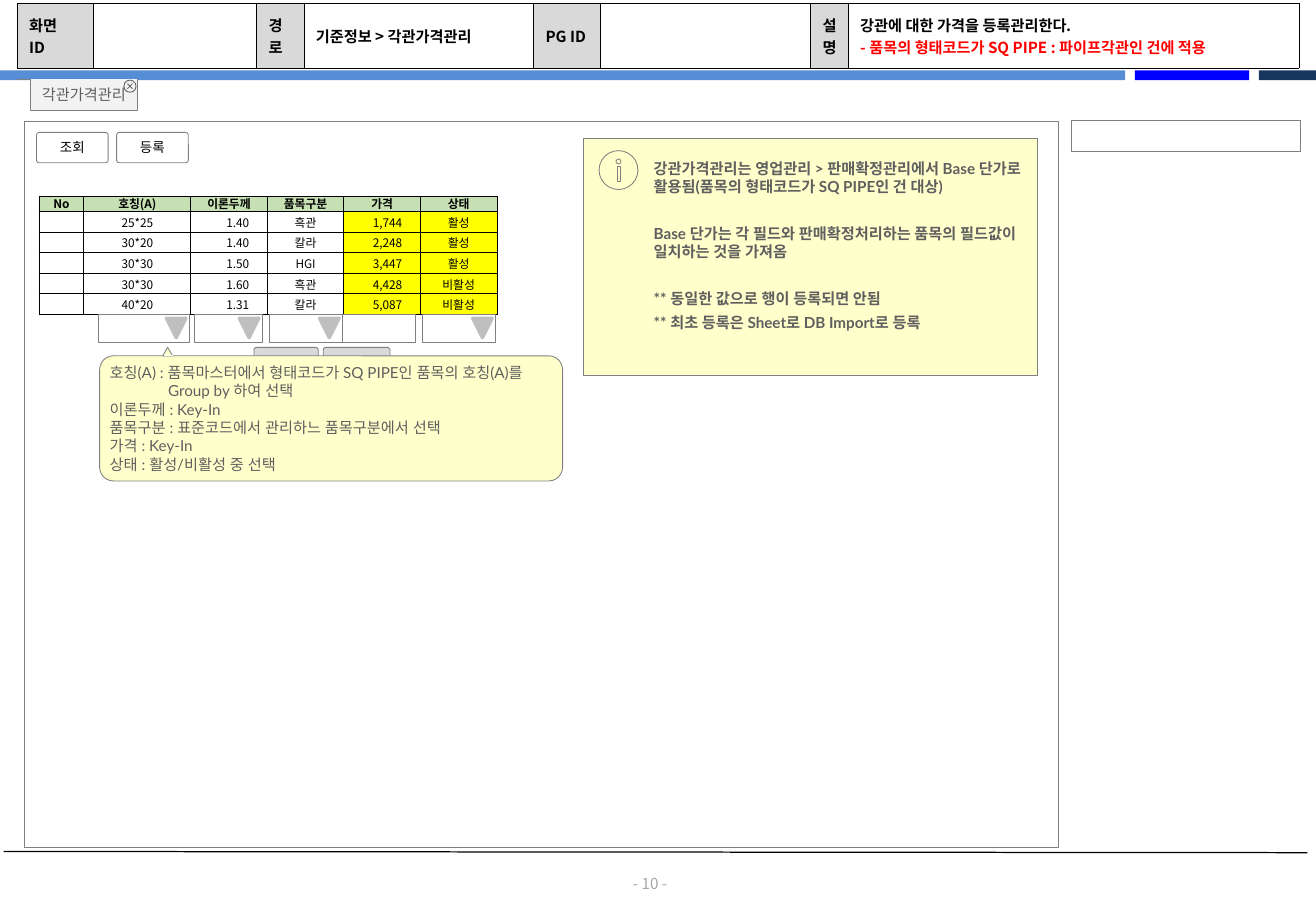
from lxml import etree
from pptx import Presentation
from pptx.dml.color import RGBColor
from pptx.enum import shapes as kinds, text as txt
from pptx.oxml.ns import qn
from pptx.util import Inches, Pt

BLACK = RGBColor(0x00, 0x00, 0x00)
WHITE = RGBColor(0xFF, 0xFF, 0xFF)
RED = RGBColor(0xFF, 0x00, 0x00)
GRAY = RGBColor(0x80, 0x80, 0x80)
DARK_GRAY = RGBColor(0x5F, 0x5F, 0x5F)
MID_GRAY = RGBColor(0xA6, 0xA6, 0xA6)
ARROW_GRAY = RGBColor(0xBF, 0xBF, 0xBF)
LABEL_GRAY = RGBColor(0xD9, 0xD9, 0xD9)
TAB_GRAY = RGBColor(0xF2, 0xF2, 0xF2)
NOTE_YELLOW = RGBColor(0xFF, 0xFF, 0xCC)
YELLOW = RGBColor(0xFF, 0xFF, 0x00)
GREEN = RGBColor(0xC6, 0xE0, 0xB4)
BAR_BLUE = RGBColor(0x55, 0x8E, 0xD5)
BLUE = RGBColor(0x00, 0x00, 0xFF)
NAVY = RGBColor(0x17, 0x37, 0x5E)

KOREAN, LATO = "Noto Sans CJK KR", "Lato"
SHAPE = kinds.MSO_SHAPE
LEFT, CENTER, RIGHT = txt.PP_ALIGN.LEFT, txt.PP_ALIGN.CENTER, txt.PP_ALIGN.RIGHT
MIDDLE, TOP = txt.MSO_ANCHOR.MIDDLE, txt.MSO_ANCHOR.TOP
NOTE_FORMAT = {"name": LATO, "size": Pt(9), "color": DARK_GRAY}


def set_attributes(target, values):
    for name, value in values.items():
        setattr(target, name, value)


def set_margins(target, inches):
    sides = ("margin_left", "margin_top", "margin_right", "margin_bottom")
    set_attributes(target, {side: Inches(v) for side, v in zip(sides, inches)})


def write_paragraph(paragraph, content, font, **layout):
    """Fill one paragraph; an empty one only keeps its text size."""
    set_attributes(paragraph, layout)
    if not content:
        end = etree.SubElement(paragraph._p, qn("a:endParaRPr"))
        end.set("sz", str(int(font["size"].pt * 100)))
        return
    run = paragraph.add_run()
    run.text = content
    set_attributes(run.font, {k: v for k, v in font.items() if k != "color"})
    run.font.color.rgb = font["color"]
    east_asian = etree.SubElement(run._r.get_or_add_rPr(), qn("a:ea"))
    east_asian.set("typeface", font["name"])


def write_frame(frame, lines, font, margins=(0, 0, 0, 0), anchor=MIDDLE,
                wrap=True, align=CENTER, layouts=None):
    set_attributes(frame, {"word_wrap": wrap, "vertical_anchor": anchor,
                           "auto_size": txt.MSO_AUTO_SIZE.NONE})
    set_margins(frame, margins)
    for index, line in enumerate(lines):
        paragraph = frame.paragraphs[0] if index == 0 else frame.add_paragraph()
        layout = (layouts or {}).get(index, {})
        write_paragraph(paragraph, line, font, alignment=align, **layout)


def style_shape(shape, fill=None, line=None, width=0.5):
    shape.shadow.inherit = False
    if fill is None:
        shape.fill.background()
    else:
        shape.fill.solid()
        shape.fill.fore_color.rgb = fill
    if line is None:
        shape.line.fill.background()
    else:
        shape.line.color.rgb = line
        shape.line.width = Pt(width)


def add_box(slide, kind, box, fill=None, line=None, width=0.5, adjustment=None):
    shape = slide.shapes.add_shape(kind, *map(Inches, box))
    style_shape(shape, fill, line, width)
    if adjustment is not None:
        shape.adjustments[0] = adjustment
    return shape


def add_line(slide, start, end, color, width):
    line = slide.shapes.add_connector(
        kinds.MSO_CONNECTOR.STRAIGHT, *map(Inches, start + end))
    line.line.color.rgb = color
    line.line.width = Pt(width)
    etree.SubElement(line._element.spPr, qn("a:effectLst"))


def style_cell(cell, fill, margins, border):
    cell.vertical_anchor = MIDDLE
    set_margins(cell, margins)
    properties = cell._tc.get_or_add_tcPr()
    for side in ("a:lnL", "a:lnR", "a:lnT", "a:lnB"):
        edge = etree.SubElement(properties, qn(side), w=str(Pt(border)))
        paint = etree.SubElement(edge, qn("a:solidFill"))
        etree.SubElement(paint, qn("a:srgbClr"), val=str(BLACK))
    if fill is None:
        cell.fill.background()
    else:
        cell.fill.solid()
        cell.fill.fore_color.rgb = fill


def add_grid(slide, left, top, columns, rows):
    table = slide.shapes.add_table(
        len(rows), len(columns), Inches(left), Inches(top),
        Inches(sum(columns)), Inches(sum(rows))).table
    set_attributes(table, {"first_row": False, "horz_banding": False})
    for column, width in zip(table.columns, columns):
        column.width = Inches(width)
    for row, height in zip(table.rows, rows):
        row.height = Inches(height)
    return table


def add_frame(slide):
    """Colour bars under the header, footer rule and page number."""
    for left, width, color in ((0, 9.26, BAR_BLUE), (9.34, 0.94, BLUE), (10.36, 0.47, NAVY)):
        add_box(slide, SHAPE.RECTANGLE, (left, 0.58, width, 0.08), color)
    add_line(slide, (0.03, 7.01), (10.76, 7.02), BLACK, 0.75)
    number = slide.shapes.add_textbox(*map(Inches, (5.05, 7.2, 0.6, 0.15)))
    write_frame(number.text_frame, ["- 10 -"],
                {"name": KOREAN, "size": Pt(9), "color": MID_GRAY})


def add_header_table(slide, left, top):
    cells = ("화면 ID", "", "경로", "기준정보 > 각관가격관리", "PG ID", "", "설명",
             "강관에 대한 가격을 등록관리한다.")
    table = add_grid(slide, left, top,
                     (0.63, 1.34, 0.39, 1.89, 0.55, 1.73, 0.31, 3.71), (0.53,))
    font = {"name": KOREAN, "size": Pt(9), "bold": True, "color": BLACK}
    for index, content in enumerate(cells):
        cell = table.cell(0, index)
        fill = WHITE if index % 2 else LABEL_GRAY
        right_margin = 0.15 if index == 0 else 0.1
        style_cell(cell, fill, (0.1, 0.05, right_margin, 0.05), 0.25)
        write_paragraph(cell.text_frame.paragraphs[0], content, font)
    write_paragraph(cell.text_frame.add_paragraph(),
                    "- 품목의 형태코드가 SQ PIPE : 파이프각관인 건에 적용", {**font, "color": RED})


def add_tab(slide, left, top, width, height):
    """Page tab holding the title, with its close mark."""
    right, bottom = left + width, top + height
    add_line(slide, (left, top), (left - 0.11, top), GRAY, 0.5)
    outline = slide.shapes.build_freeform(Inches(right), Inches(top))
    outline.add_line_segments([(Inches(x), Inches(y)) for x, y in
                               ((right, bottom), (left, bottom), (left, top))], close=False)
    style_shape(outline.convert_to_shape(), TAB_GRAY, GRAY)
    title = slide.shapes.title
    set_attributes(title, {"left": Inches(left), "top": Inches(top),
                           "width": Inches(width), "height": Inches(height)})
    write_frame(title.text_frame, ["각관가격관리"], NOTE_FORMAT, (0.02, 0.05, 0.02, 0.05))
    title.element.getparent().append(title.element)
    add_box(slide, SHAPE.OVAL, (right - 0.11, top + 0.01, 0.1, 0.1), None, DARK_GRAY)
    add_box(slide, SHAPE.MATH_MULTIPLY, (right - 0.1, top + 0.02, 0.08, 0.08),
            DARK_GRAY, adjustment=0.08)


def add_button(slide, box, fill=None):
    return add_box(slide, SHAPE.ROUNDED_RECTANGLE, box, fill, GRAY, adjustment=0.09)


def add_price_table(slide, left, top):
    rows = (("No", "호칭(A)", "이론두께", "품목구분", "가격", "상태"),
            ("", "25*25", "1.40", "흑관", "1,744", "활성"),
            ("", "30*20", "1.40", "칼라", "2,248", "활성"),
            ("", "30*30", "1.50", "HGI", "3,447", "활성"),
            ("", "30*30", "1.60", "흑관", "4,428", "비활성"),
            ("", "40*20", "1.31", "칼라", "5,087", "비활성"))
    fills = (None, None, WHITE, None, YELLOW, YELLOW)
    table = add_grid(slide, left, top, (0.37, 0.88) + (0.63,) * 4, (0.12,) + (0.17,) * 5)
    for row, values in enumerate(rows):
        for column, value in enumerate(values):
            cell = table.cell(row, column)
            header, number = row == 0, row > 0 and column in (2, 4)
            style_cell(cell, GREEN if header else fills[column],
                       (0.01, 0 if header else 0.01, 0.15 if number else 0.01, 0), 0.5)
            write_paragraph(cell.text_frame.paragraphs[0], value,
                            {"name": KOREAN, "size": Pt(7), "bold": header, "color": BLACK},
                            alignment=RIGHT if number else CENTER,
                            line_spacing=0.8 if header else 1.0)


def add_input_row(slide, top):
    fields = ((0.81, 0.75, True), (1.6, 0.56, True), (2.22, 0.6, True),
              (2.82, 0.6, False), (3.48, 0.6, True))
    for left, width, has_arrow in fields:
        add_box(slide, SHAPE.RECTANGLE, (left, top, width, 0.23), WHITE, GRAY, 0.75)
        if has_arrow:
            arrow = add_box(slide, SHAPE.ISOSCELES_TRIANGLE,
                            (left + width - 0.19, top + 0.03, 0.16, 0.16),
                            ARROW_GRAY, ARROW_GRAY, 2)
            arrow.rotation = 180


def add_info_note(slide, left, top, width, height):
    note = add_box(slide, SHAPE.RECTANGLE, (left, top, width, height), NOTE_YELLOW, GRAY)
    lines = ("강관가격관리는 영업관리 > 판매확정관리에서 Base 단가로 활용됨(품목의 형태코드가 SQ PIPE인 건 대상)",
             "Base 단가는 각 필드와 판매확정처리하는 품목의 필드값이 일치하는 것을 가져옴",
             "** 동일한 값으로 행이 등록되면 안됨",
             "** 최초 등록은 Sheet로 DB Import로 등록")
    layouts = {index: {"space_after": Pt(3), "space_before": Pt(14 if index in (1, 2) else 0)}
               for index in range(len(lines))}
    write_frame(note.text_frame, lines, {**NOTE_FORMAT, "bold": True},
                (0.58, 0.05, 0.1, 0.24), align=LEFT, layouts=layouts)
    for kind, x, y, w, h in ((SHAPE.OVAL, 0.13, 0.1, 0.32, 0.32),
                             (SHAPE.OVAL, 0.27, 0.17, 0.04, 0.04),
                             (SHAPE.RECTANGLE, 0.28, 0.23, 0.03, 0.12)):
        add_box(slide, kind, (left + x, top + y, w, h), NOTE_YELLOW, GRAY)


def add_field_callout(slide, left, top, width, height):
    callout = add_box(slide, SHAPE.ROUNDED_RECTANGLE, (left, top, width, height),
                      NOTE_YELLOW, GRAY, adjustment=0.11)
    lines = ("호칭(A) : 품목마스터에서 형태코드가 SQ PIPE인 품목의 호칭(A)를", "Group by 하여 선택",
             "이론두께 : Key-In", "품목구분 : 표준코드에서 관리하느 품목구분에서 선택",
             "가격 : Key-In", "상태 : 활성/비활성 중 선택")
    write_frame(callout.text_frame, lines, NOTE_FORMAT, (0.05, 0.03, 0.05, 0.03),
                TOP, wrap=False, align=LEFT)
    indented = callout.text_frame.paragraphs[1]._p.get_or_add_pPr()
    indented.set("marL", str(Inches(0.48)))
    add_box(slide, SHAPE.ISOSCELES_TRIANGLE, (left + 0.52, top - 0.07, 0.08, 0.07),
            NOTE_YELLOW, GRAY)
    add_line(slide, (left + 0.6, top), (left + 0.53, top), WHITE, 0.5)


def main():
    presentation = Presentation()
    set_attributes(presentation, {"slide_width": Inches(10.83), "slide_height": Inches(7.5)})
    slide = presentation.slides.add_slide(presentation.slide_layouts[5])
    add_frame(slide)
    add_box(slide, SHAPE.RECTANGLE, (0.2, 1, 8.51, 5.98), None, GRAY)
    add_header_table(slide, 0.14, 0.03)
    add_tab(slide, 0.25, 0.65, 0.88, 0.26)
    add_box(slide, SHAPE.RECTANGLE, (8.82, 0.99, 1.88, 0.26), WHITE, GRAY)
    button_font = {"name": "Arial", "size": Pt(8), "color": BLACK}
    for left, label in ((0.3, "조회"), (0.96, "등록")):
        button = add_button(slide, (left, 1.09, 0.59, 0.25))
        write_frame(button.text_frame, [label], button_font)
    add_price_table(slide, 0.32, 1.62)
    add_input_row(slide, 2.59)
    add_info_note(slide, 4.8, 1.14, 3.74, 1.95)
    for left, width in ((2.09, 0.53), (2.66, 0.55)):
        add_button(slide, (left, 2.86, width, 0.26), LABEL_GRAY)
    add_field_callout(slide, 0.82, 2.93, 3.81, 1.03)
    presentation.save("out.pptx")


if __name__ == "__main__":
    main()
